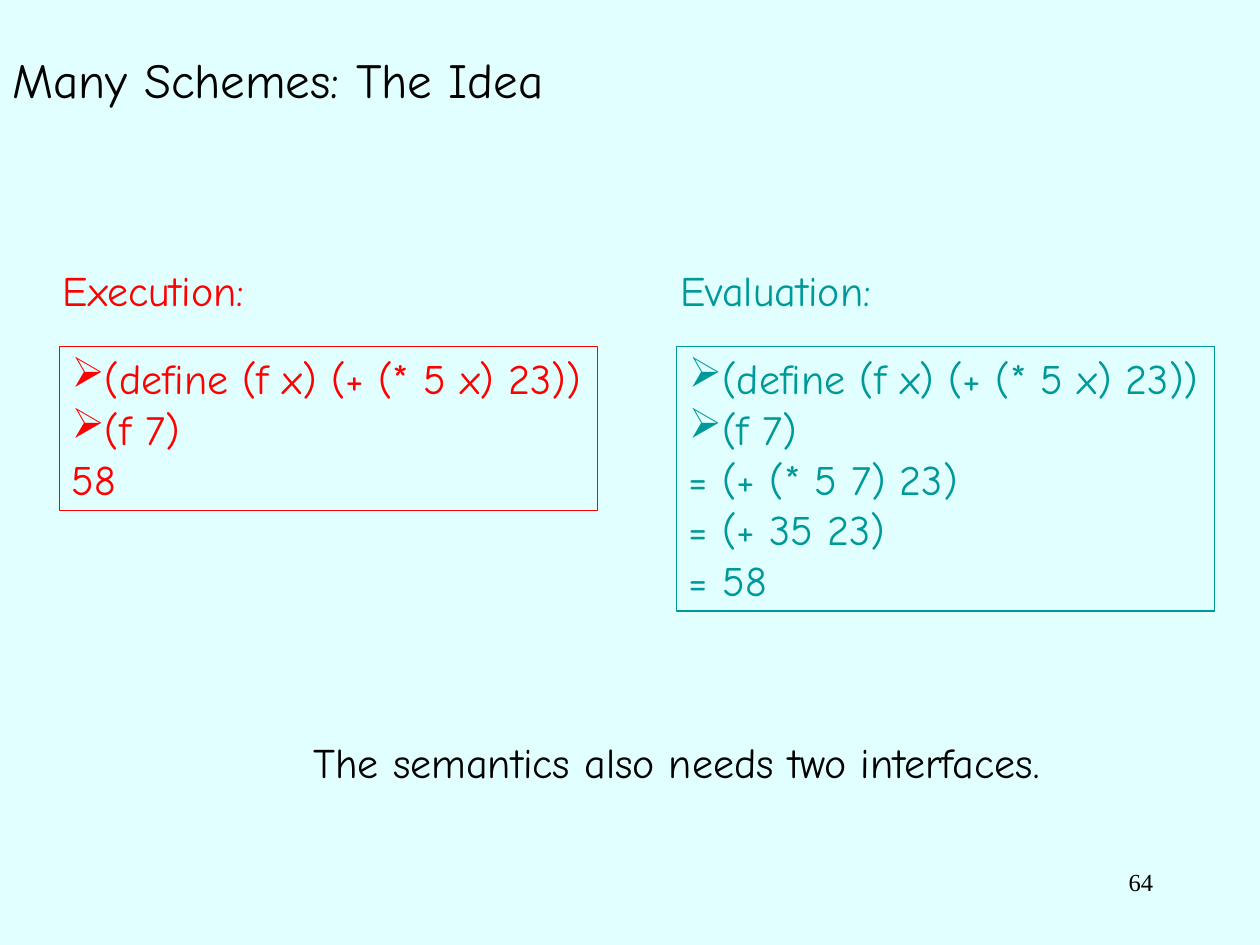
from lxml import etree
from pptx import Presentation
from pptx.dml import color
from pptx.enum import shapes, text
from pptx.oxml import ns
from pptx.util import Inches, Pt

FONT = "Comic Neue"
BLACK, RED, TEAL = "000000", "FF0000", "009999"
PROMPTS = ["(define (f x) (+ (* 5 x) 23))", "(f 7)"]


def rgb(value):
    return color.RGBColor.from_string(value)


def style(para, size, ink, font=FONT, align=text.PP_ALIGN.LEFT):
    para.alignment = align
    for span in para.runs:
        span.font.size = Pt(size)
        span.font.name = font
        span.font.color.rgb = rgb(ink)


def add_bullet(para, ink):
    props = para._p.get_or_add_pPr()
    props.set("marL", "0")
    props.set("indent", "0")
    bullet_color = etree.SubElement(props, ns.qn("a:buClr"))
    etree.SubElement(bullet_color, ns.qn("a:srgbClr"), val=ink)
    etree.SubElement(props, ns.qn("a:buChar"), char="➢")


def add_title(page, words, left, top, width, height):
    title = page.shapes.title
    title.left, title.top, title.width, title.height = map(
        Inches, (left, top, width, height))
    frame = title.text_frame
    frame.text = words
    frame.vertical_anchor = text.MSO_ANCHOR.MIDDLE
    style(frame.paragraphs[0], 28, BLACK)


def add_label(page, words, ink, left, top, width, height=0.5):
    box = page.shapes.add_textbox(*map(Inches, (left, top, width, height)))
    frame = box.text_frame
    frame.word_wrap = False
    frame.auto_size = text.MSO_AUTO_SIZE.SHAPE_TO_FIT_TEXT
    frame.text = words
    style(frame.paragraphs[0], 24, ink)


def add_session(page, heading, heading_width, results, ink, left, top):
    add_label(page, heading, ink, left, top, heading_width)
    lines = PROMPTS + results
    height = 0.1 + 0.4 * len(lines)
    panel = page.shapes.add_shape(
        shapes.MSO_SHAPE.RECTANGLE,
        *map(Inches, (left + 0.07, top + 0.7, 4.27, height)))
    panel.shadow.inherit = False
    panel.fill.background()
    panel.line.color.rgb = rgb(ink)
    panel.line.width = Pt(0.75)
    frame = panel.text_frame
    frame.word_wrap = False
    frame.auto_size = text.MSO_AUTO_SIZE.SHAPE_TO_FIT_TEXT
    frame.vertical_anchor = text.MSO_ANCHOR.TOP
    frame.text = "\n".join(lines)
    for index, para in enumerate(frame.paragraphs):
        if index < len(PROMPTS):
            add_bullet(para, ink)
        style(para, 24, ink)


def add_page_number(page, number, left, top, width, height):
    box = page.shapes.add_textbox(*map(Inches, (left, top, width, height)))
    frame = box.text_frame
    frame.word_wrap = True
    frame.text = number
    style(frame.paragraphs[0], 14, BLACK, "Times New Roman",
          text.PP_ALIGN.RIGHT)


def main():
    deck = Presentation()
    deck.slide_width, deck.slide_height = Inches(10), Inches(7.5)
    page = deck.slides.add_slide(deck.slide_layouts[5])
    page.background.fill.solid()
    page.background.fill.fore_color.rgb = rgb("E1FFFF")

    add_title(page, "Many Schemes: The Idea", 0, 0, 8.5, 1.25)
    add_session(page, "Execution:", 1.9, ["58"], RED, 0.4, 2.05)
    add_session(page, "Evaluation:", 2.01,
                ["= (+ (* 5 7) 23)", "= (+ 35 23)", "= 58"], TEAL, 5.3, 2.05)
    add_label(page, "The semantics also needs two interfaces.", BLACK,
              2.39, 5.8, 6.59)
    add_page_number(page, "64", 7.17, 6.83, 2.08, 0.5)
    deck.save("out.pptx")


if __name__ == "__main__":
    main()
